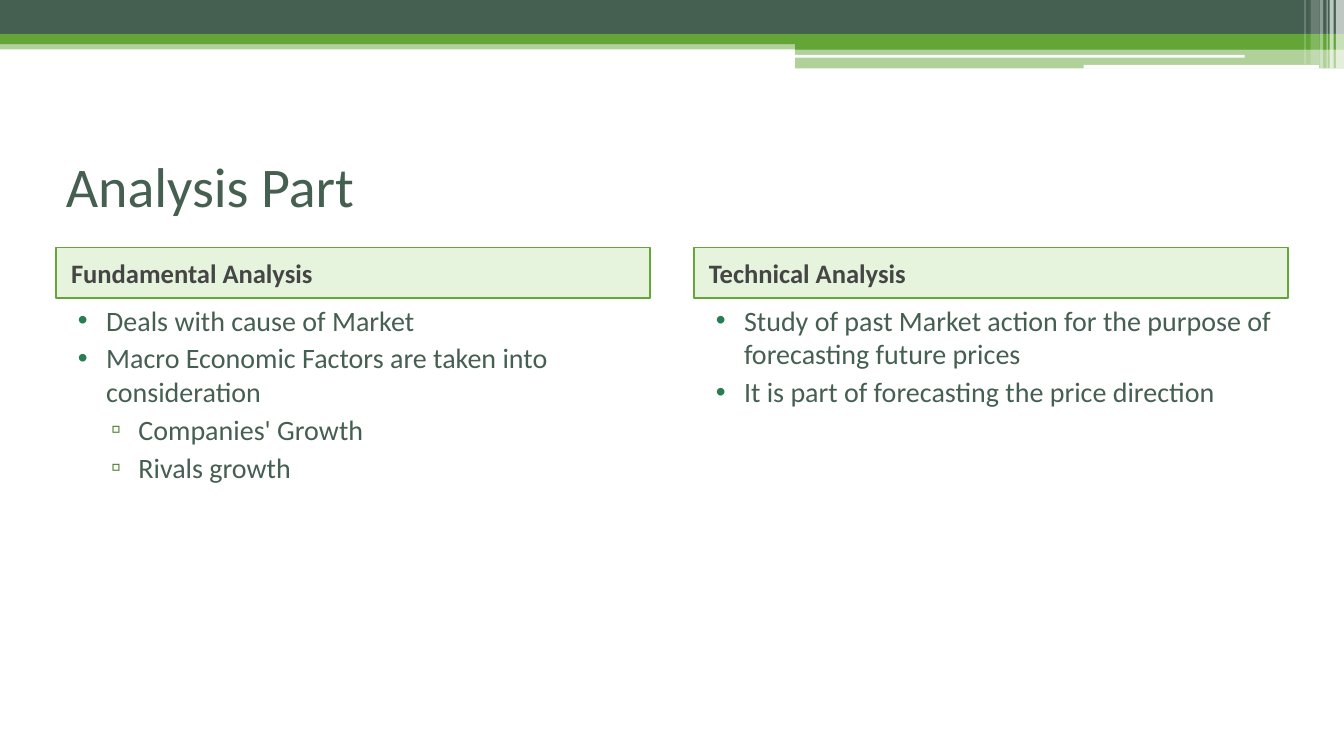
import pptx
import pptx.util
import pptx.dml.color
import pptx.enum.shapes
import pptx.enum.text
import pptx.oxml
import pptx.oxml.ns
import lxml.etree

Pt = pptx.util.Pt
RGB = pptx.dml.color.RGBColor.from_string
KIND = pptx.enum.shapes.MSO_SHAPE
ANCHOR = pptx.enum.text.MSO_ANCHOR
ALIGN = pptx.enum.text.PP_ALIGN
qn = pptx.oxml.ns.qn


class Theme:
    font = "Calibri"
    dark, green, light, white = "455F51", "63A537", "9FD47D", "FFFFFF"
    head_ink = "454545"
    bullets = [("•", "297D53"), ("▫", "4A7C29")]
    title_size, head_size, body_size = 40, 19, 20


def add_bar(kind, left, top, width, height, color, alpha=100):
    """Add a borderless shape; alpha is its opacity in percent."""
    bar = slide.shapes.add_shape(kind, Pt(left), Pt(top), Pt(width), Pt(height))
    bar.shadow.inherit = False
    bar.fill.solid()
    bar.fill.fore_color.rgb = RGB(color)
    bar.line.fill.background()
    if alpha < 100:
        tone = bar.fill._xPr.find(".//" + qn("a:srgbClr"))
        lxml.etree.SubElement(tone, qn("a:alpha")).set("val", str(alpha * 1000))
    return bar


def style(para, size, color, bold=False):
    para.alignment = ALIGN.LEFT
    for run in para.runs:
        run.font.name = Theme.font
        run.font.size = Pt(size)
        run.font.bold = bold
        run.font.color.rgb = RGB(color)


deck = pptx.Presentation()
deck.slide_width, deck.slide_height = Pt(960), Pt(540)
slide = deck.slides.add_slide(deck.slide_layouts[6])

# Banner: left, top, width, height, colour, opacity
bands = [
    (0, 28.8, 960, 6.5, Theme.green, 50),
    (0, 0, 960, 24.3, Theme.dark, 100),
    (0, 24.3, 960, 7.2, Theme.green, 100),
    (568, 28.3, 392, 7.2, Theme.green, 100),
    (568, 34.7, 392, 14.2, Theme.green, 50),
]
for band in bands:
    add_bar(KIND.RECTANGLE, *band)

for left, top, width, height in [(567.5, 39.2, 321.6, 2), (774, 46.3, 168, 2.7)]:
    add_bar(KIND.ROUNDED_RECTANGLE, left, top, width, height, Theme.white)

# Pale stripes at the right end: left, width, height, opacity
stripes = [
    (954.2, 5.8, 48.9, 65),
    (949.8, 2.8, 48.9, 65),
    (947.6, 0.8, 48.9, 60),
    (942.6, 2.6, 48.9, 40),
    (936.2, 5.8, 46.1, 20),
    (931.8, 0.8, 46.1, 30),
]
for left, width, height, alpha in stripes:
    add_bar(KIND.RECTANGLE, left, 0, width, height, Theme.white, alpha)

title = slide.shapes.add_textbox(Pt(40), Pt(90), Pt(880), Pt(84)).text_frame
title.word_wrap = True
title.vertical_anchor = ANCHOR.MIDDLE
title.text = "Analysis Part"
style(title.paragraphs[0], Theme.title_size, Theme.dark)

# Each column: heading, then (level, text) points
columns = [
    ("Fundamental Analysis", [
        (0, "Deals with cause of Market"),
        (0, "Macro Economic Factors are taken into consideration"),
        (1, "Companies' Growth"),
        (1, "Rivals growth"),
    ]),
    ("Technical Analysis", [
        (0, "Study of past Market action for the purpose of forecasting future prices"),
        (0, "It is part of forecasting the price direction"),
    ]),
]
for col, (heading, points) in enumerate(columns):
    left = 40 + col * 455.6
    head = add_bar(KIND.RECTANGLE, left, 177, 424.4, 36, Theme.light, 25)
    head.line.color.rgb = RGB(Theme.green)
    head.line.width = Pt(1)
    frame = head.text_frame
    frame.word_wrap = True
    frame.vertical_anchor = ANCHOR.MIDDLE
    frame.margin_left = Pt(10.8)
    frame.text = heading
    frame.paragraphs[0].space_before = Pt(3)
    style(frame.paragraphs[0], Theme.head_size, Theme.head_ink, True)

    body = slide.shapes.add_textbox(Pt(left), Pt(213), Pt(424.4), Pt(306)).text_frame
    body.word_wrap = True
    body.text = "\n".join(text for _, text in points)
    for para, (level, _) in zip(body.paragraphs, points):
        para.level = level
        para.space_before = Pt(3)
        style(para, Theme.body_size, Theme.dark)
        mark, color = Theme.bullets[level]
        props = para._p.get_or_add_pPr()
        props.set("marL", str(Pt([28.8, 51.8][level])))
        props.set("indent", str(-Pt([20.2, 19.4][level])))
        tint = lxml.etree.SubElement(props, qn("a:buClr"))
        lxml.etree.SubElement(tint, qn("a:srgbClr")).set("val", color)
        lxml.etree.SubElement(props, qn("a:buFont")).set("typeface", "Arial")
        lxml.etree.SubElement(props, qn("a:buChar")).set("char", mark)

deck.save("out.pptx")
